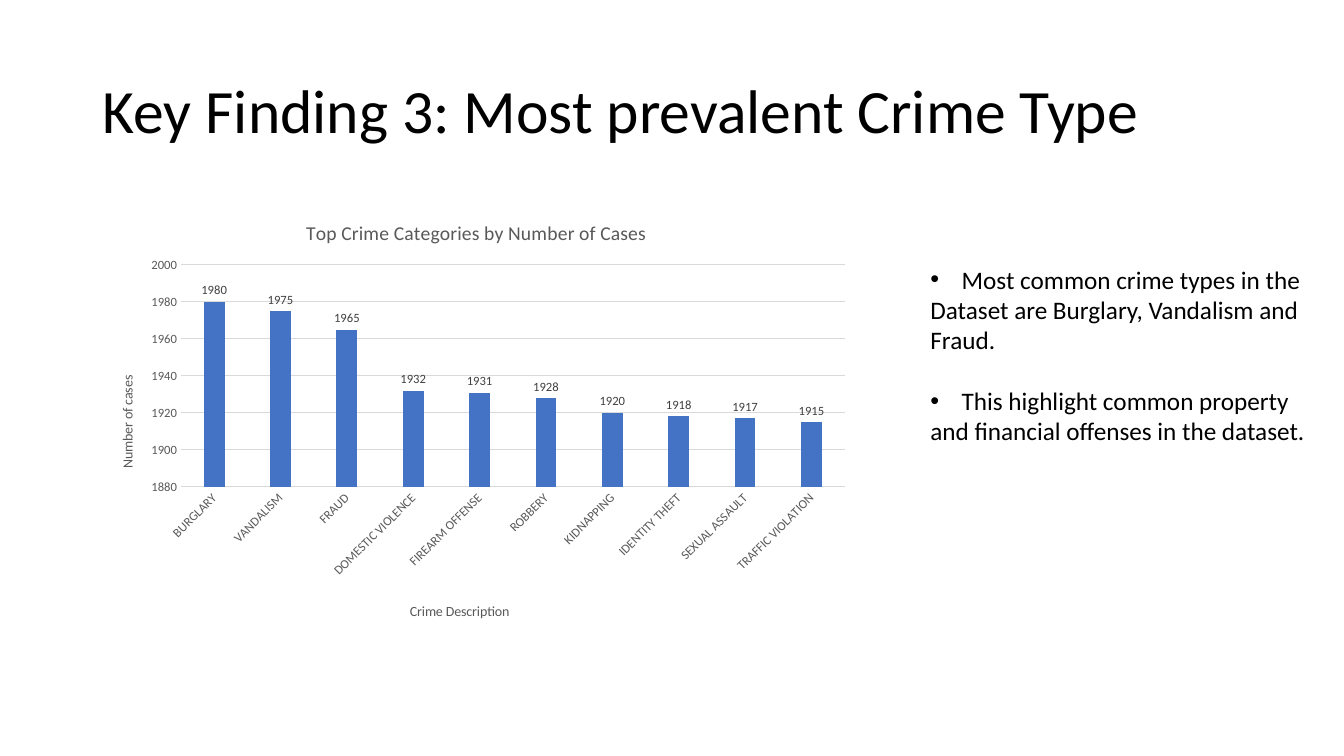
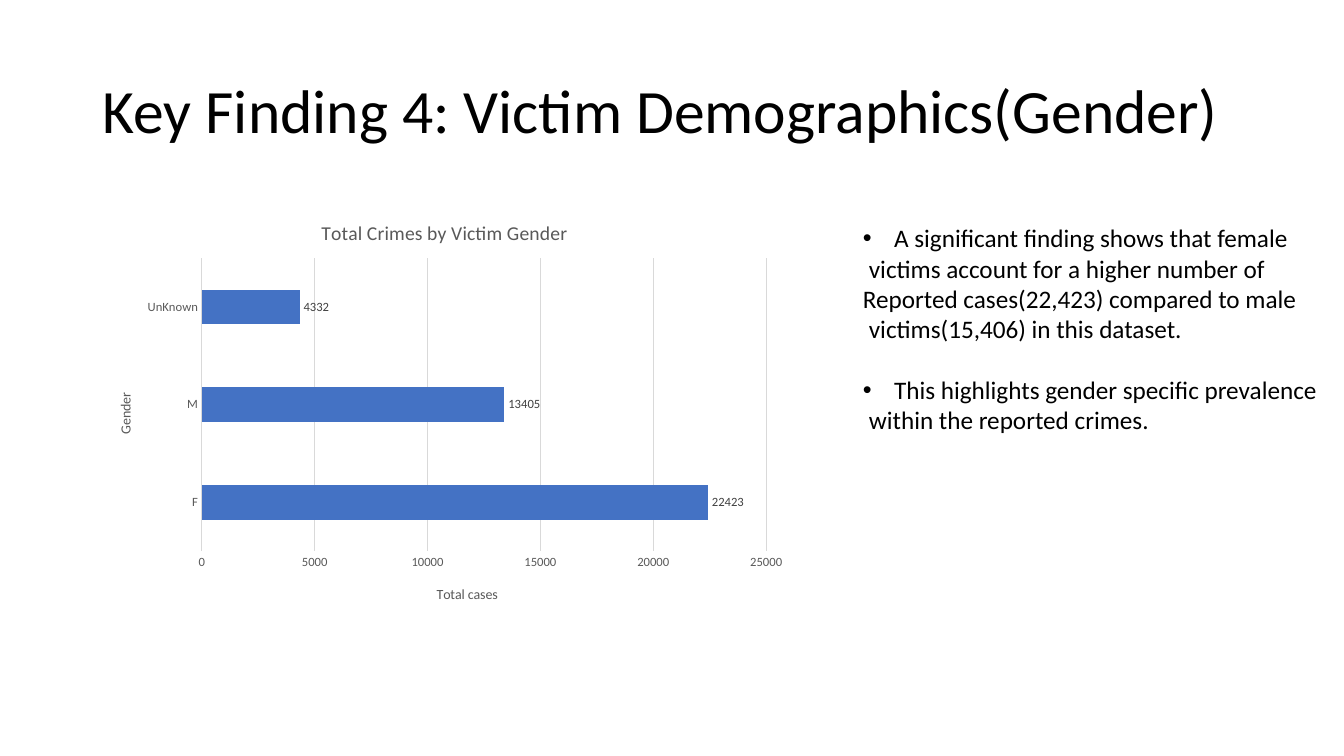
from lxml import etree
from pptx import Presentation
from pptx.chart.data import CategoryChartData
from pptx.dml.color import RGBColor
from pptx.enum.chart import XL_CHART_TYPE, XL_LABEL_POSITION, XL_TICK_MARK
from pptx.enum.text import MSO_ANCHOR
from pptx.oxml.ns import qn
from pptx.util import Inches, Pt

COLUMN, BAR = XL_CHART_TYPE.COLUMN_CLUSTERED, XL_CHART_TYPE.BAR_CLUSTERED
OUTSIDE = XL_LABEL_POSITION.OUTSIDE_END
NO_TICK = XL_TICK_MARK.NONE
MIDDLE, TOP = MSO_ANCHOR.MIDDLE, MSO_ANCHOR.TOP

FONT = "Calibri"
COLORS = {"text": "000000", "axis": "595959", "label": "404040",
          "grid": "D9D9D9", "bar": "4472C4"}
TITLE_AT = (0.92, 0.4, 11.5, 1.45)
BULLET_INDENT, SPACE_INDENT = 0.31, 0.06

# Content: frames are fractions of the chart; each bullet is a list of lines,
# and a line flagged True is set in by the width of a space
SLIDES = [
    {
        "title": "Key Finding 3: Most prevalent Crime Type",
        "chart": {
            "type": COLUMN, "at": (0.92, 2, 7.61, 4.25),
            "title": "Top Crime Categories by Number of Cases",
            "data": [("BURGLARY", 1980), ("VANDALISM", 1975), ("FRAUD", 1965),
                     ("DOMESTIC VIOLENCE", 1932), ("FIREARM OFFENSE", 1931),
                     ("ROBBERY", 1928), ("KIDNAPPING", 1920),
                     ("IDENTITY THEFT", 1918), ("SEXUAL ASSAULT", 1917),
                     ("TRAFFIC VIOLATION", 1915)],
            "gap": 219, "scale": (1880, 2000, 20), "label_angle": -45,
            "plot": (0.115, 0.148, 0.865, 0.518),
            "category": ("Crime Description", 0, (0.41, 0.93)),
            "value": ("Number of cases", -90, (0.03, 0.4)),
        },
        "bullets_at": (9.13, 2.57, 3.97, 1.92),
        "bullets": [
            [("Most common crime types in the", False),
             ("Dataset are Burglary, Vandalism and", False),
             ("Fraud.", False)],
            [("This highlight common property", False),
             ("and financial offenses in the dataset.", False)],
        ],
    },
    {
        "title": "Key Finding 4: Victim Demographics(Gender)",
        "chart": {
            "type": BAR, "at": (0.92, 2, 6.98, 4.16),
            "title": "Total Crimes by Victim Gender",
            "data": [("F", 22423), ("M", 13405), ("UnKnown", 4332)],
            "gap": 182, "scale": (0, 25000, 5000), "label_angle": 0,
            "plot": (0.155, 0.135, 0.802, 0.699),
            "category": ("Gender", -90, (0.03, 0.45)),
            "value": ("Total cases", 0, (0.485, 0.91)),
        },
        "bullets_at": (8.46, 2.16, 4.76, 2.22),
        "bullets": [
            [("A significant finding shows that female", False),
             ("victims account for a higher number of", True),
             ("Reported cases(22,423) compared to male", False),
             ("victims(15,406) in this dataset.", True)],
            [("This highlights gender specific prevalence", False),
             ("within the reported crimes.", True)],
        ],
    },
]


def rgb(name):
    return RGBColor.from_string(COLORS[name])


def set_font(font, size, color):
    font.name, font.size, font.bold = FONT, Pt(size), False
    font.color.rgb = rgb(color)


def write(para, text, *, size, color="text", spacing=None):
    span = para.add_run()
    span.text = text
    set_font(span.font, size, color)
    para.line_spacing = spacing


def add_box(page, at, anchor=TOP, wrap=True):
    frame = page.shapes.add_textbox(*map(Inches, at)).text_frame
    frame.word_wrap, frame.vertical_anchor = wrap, anchor
    return frame


def add_bullets(page, at, bullets):
    frame = add_box(page, at, wrap=False)
    para = None
    for group, lines in enumerate(bullets):
        for row, (text, inset) in enumerate(lines):
            para = frame.add_paragraph() if para else frame.paragraphs[0]
            write(para, text, size=18)
            props = para._p.get_or_add_pPr()
            if row == 0:
                if group:
                    para.space_before = Pt(22)
                props.set("marL", str(Inches(BULLET_INDENT)))
                props.set("indent", str(-Inches(BULLET_INDENT)))
                etree.SubElement(props, qn("a:buFont")).set("typeface", "Arial")
                etree.SubElement(props, qn("a:buChar")).set("char", "•")
            elif inset:
                props.set("marL", str(Inches(SPACE_INDENT)))


def set_layout(element, index, frame, inner=False):
    """Fix the place of a chart part, as fractions of the chart."""
    for old in element.findall(qn("c:layout")):
        element.remove(old)
    layout = etree.Element(qn("c:layout"))
    manual = etree.SubElement(layout, qn("c:manualLayout"))
    settings = [("layoutTarget", "inner")] if inner else []
    settings += [("xMode", "edge"), ("yMode", "edge")]
    settings += zip("xywh", frame)
    for tag, value in settings:
        etree.SubElement(manual, qn("c:" + tag)).set("val", str(value))
    element.insert(index, layout)


def style_axis(axis, title, angle, place):
    axis.major_tick_mark = axis.minor_tick_mark = NO_TICK
    set_font(axis.tick_labels.font, 9, "axis")
    frame = axis.axis_title.text_frame
    write(frame.paragraphs[0], title, size=10, color="axis")
    frame._txBody.bodyPr.set("rot", str(angle * 60000))
    set_layout(axis.axis_title._element, 1, place)


def add_bar_chart(page, item):
    data = CategoryChartData()
    data.categories = [name for name, _ in item["data"]]
    data.add_series("Series 1", [value for _, value in item["data"]])
    chart = page.shapes.add_chart(
        item["type"], *map(Inches, item["at"]), data).chart
    set_font(chart.font, 10, "text")
    chart.has_legend = False
    chart.has_title = True
    write(chart.chart_title.text_frame.paragraphs[0], item["title"],
          size=14, color="axis")
    set_layout(chart._chartSpace.chart.plotArea, 0, item["plot"], inner=True)

    # Bars and their labels
    plot = chart.plots[0]
    plot.gap_width, plot.vary_by_categories = item["gap"], False
    fill = plot.series[0].format.fill
    fill.solid()
    fill.fore_color.rgb = rgb("bar")
    plot.has_data_labels = True
    labels = plot.data_labels
    labels.show_value, labels.position = True, OUTSIDE
    set_font(labels.font, 9, "label")

    # Axes
    category, value = chart.category_axis, chart.value_axis
    style_axis(category, *item["category"])
    style_axis(value, *item["value"])
    value.minimum_scale, value.maximum_scale, value.major_unit = item["scale"]
    value.format.line.fill.background()
    value.has_major_gridlines = True
    for line in (category.format.line, value.major_gridlines.format.line):
        line.color.rgb = rgb("grid")
        line.width = Pt(0.75)
    category._element.find(qn("c:txPr")).find(qn("a:bodyPr")).set(
        "rot", str(item["label_angle"] * 60000))


def main():
    deck = Presentation()
    deck.slide_width, deck.slide_height = Inches(13.33), Inches(7.5)
    for item in SLIDES:
        page = deck.slides.add_slide(deck.slide_layouts[6])
        title = add_box(page, TITLE_AT, anchor=MIDDLE)
        write(title.paragraphs[0], item["title"], size=44, spacing=0.9)
        add_bar_chart(page, item["chart"])
        add_bullets(page, item["bullets_at"], item["bullets"])
    deck.save("out.pptx")


if __name__ == "__main__":
    main()
